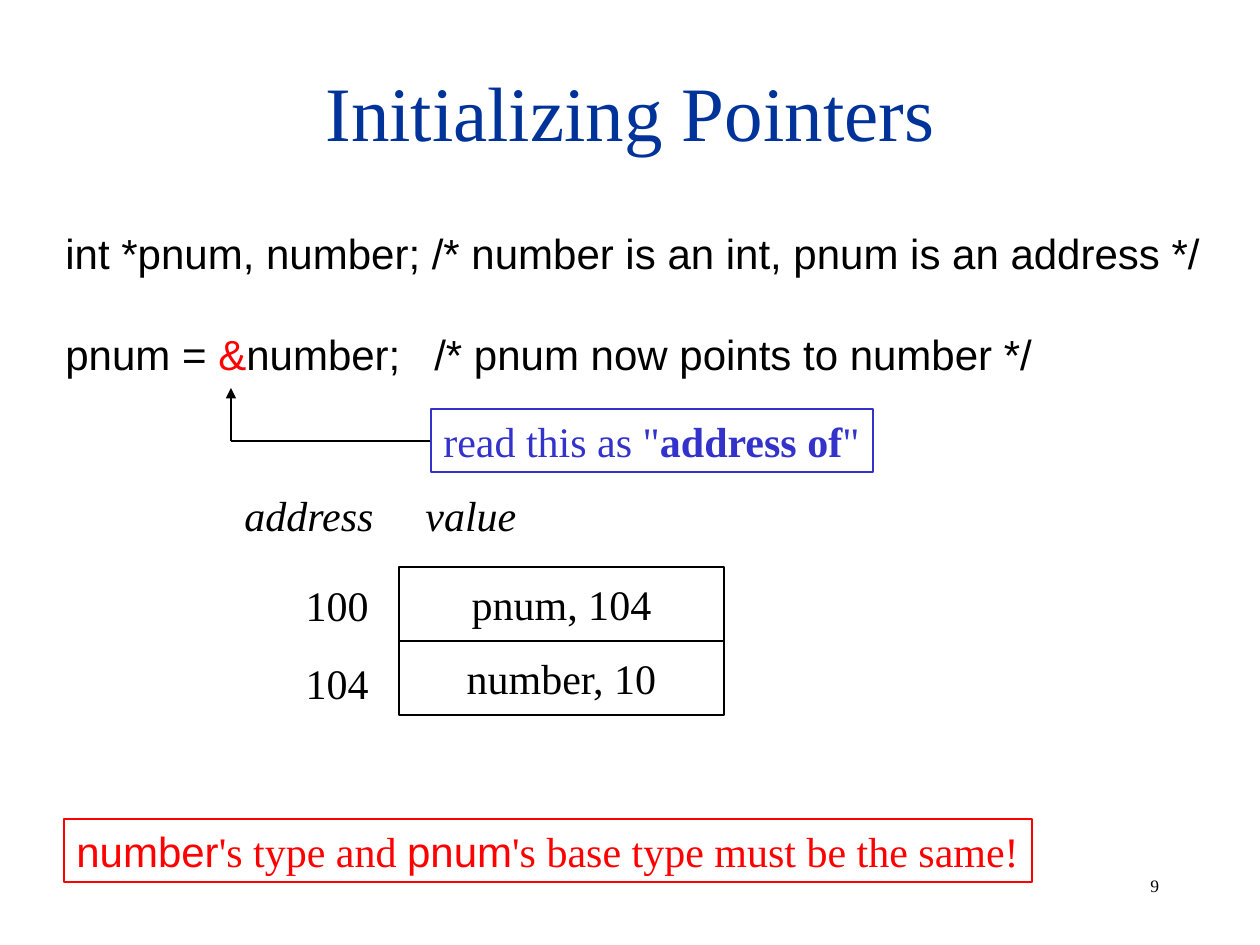
"""Build a slide on setting up pointers in C."""
from dataclasses import dataclass
from typing import Any

import pptx
import pptx.dml.color
import pptx.enum.shapes
import pptx.enum.text
import pptx.oxml.ns
import pptx.util
from lxml import etree

SCALE = 914400 / 126
ALIGN = pptx.enum.text.PP_ALIGN
ANCHOR = pptx.enum.text.MSO_ANCHOR


@dataclass(frozen=True)
class Theme:
    serif: str = "Times New Roman"
    sans: str = "Arial"
    black: str = "000000"
    white: str = "FFFFFF"
    navy: str = "003399"
    blue: str = "3333CC"
    red: str = "FF0000"
    title: int = 44
    body: int = 24
    small: int = 10
    line: float = 0.75


THEME = Theme()


@dataclass(frozen=True)
class Run:
    text: str
    face: str = THEME.serif
    color: str = THEME.black
    size: int = THEME.body
    bold: bool = False
    slant: bool = False


@dataclass(frozen=True)
class Box:
    left: int
    top: int
    width: int
    height: int
    runs: tuple[Run, ...]
    align: Any = ALIGN.LEFT
    anchor: Any = ANCHOR.TOP
    edge: str = ""
    fill: str = ""


@dataclass(frozen=True)
class Line:
    start: tuple[int, int]
    end: tuple[int, int]
    arrow: bool = False


def px(count: int) -> pptx.util.Emu:
    return pptx.util.Emu(round(count * SCALE))


def rgb(code: str) -> pptx.dml.color.RGBColor:
    return pptx.dml.color.RGBColor.from_string(code)


def apply(target: Any, form: dict[str, Any]) -> None:
    for key, value in form.items():
        setattr(target, key, value)


def stroke(line: Any, color: str) -> None:
    line.color.rgb = rgb(color)
    line.width = pptx.util.Pt(THEME.line)


def draw_box(shapes: Any, box: Box) -> None:
    place = [px(n) for n in (box.left, box.top, box.width, box.height)]
    if box.edge:
        shape = shapes.add_shape(
            pptx.enum.shapes.MSO_SHAPE.RECTANGLE, *place)
        shape.shadow.inherit = False
        stroke(shape.line, box.edge)
        if box.fill:
            shape.fill.solid()
            shape.fill.fore_color.rgb = rgb(box.fill)
        else:
            shape.fill.background()
    else:
        shape = shapes.add_textbox(*place)
    frame = shape.text_frame
    apply(frame, {"word_wrap": not box.edge, "vertical_anchor": box.anchor})
    para = frame.paragraphs[0]
    para.alignment = box.align
    for item in box.runs:
        run = para.add_run()
        run.text = item.text
        apply(run.font, {"name": item.face, "bold": item.bold,
                         "italic": item.slant,
                         "size": pptx.util.Pt(item.size)})
        run.font.color.rgb = rgb(item.color)


def draw_line(shapes: Any, line: Line) -> None:
    ends = [px(n) for n in line.start + line.end]
    link = shapes.add_connector(
        pptx.enum.shapes.MSO_CONNECTOR.STRAIGHT, *ends)
    stroke(link.line, THEME.black)
    if line.arrow:
        etree.SubElement(link.line._get_or_add_ln(),
                         pptx.oxml.ns.qn("a:tailEnd"), type="triangle")
    etree.SubElement(link._element.spPr, pptx.oxml.ns.qn("a:effectLst"))


def code(text: str, color: str = THEME.black) -> Run:
    return Run(text, face=THEME.sans, color=color)


def rows(cells: tuple[tuple[str, str], ...]) -> list[Box]:
    boxes = []
    for i, (place, value) in enumerate(cells):
        top = 567 + 74 * i
        boxes += [
            Box(399, top, 325, 74, (Run(value),), ALIGN.CENTER,
                ANCHOR.MIDDLE, THEME.black, THEME.white),
            Box(199, 573 + 78 * i, 182, 63, (Run(place),), ALIGN.RIGHT),
        ]
    return boxes


TEXTS = [
    Box(1138, 869, 98, 34, (Run("9", size=THEME.small),)),
    Box(95, 32, 1071, 157,
        (Run("Initializing Pointers", color=THEME.navy, size=THEME.title),),
        ALIGN.CENTER, ANCHOR.MIDDLE),
    Box(53, 221, 1180, 63, (code(
        "int *pnum, number; /* number is an int, pnum is an address */"),)),
    Box(53, 322, 369, 63,
        (code("pnum = "), code("&", THEME.red), code("number;"))),
    Box(422, 322, 640, 63, (code("/* pnum now points to number */"),)),
    *rows((("100", "pnum, 104"), ("104", "number, 10"))),
    Box(232, 483, 170, 63, (Run("address", slant=True),)),
    Box(413, 483, 130, 63, (Run("value", slant=True),)),
    Box(64, 819, 968, 63,
        (code("number", THEME.red),
         Run("'s type and ", color=THEME.red),
         code("pnum", THEME.red),
         Run("'s base type must be the same!", color=THEME.red)),
        edge=THEME.red),
    Box(431, 409, 442, 63,
        (Run('read this as "', color=THEME.blue),
         Run("address of", color=THEME.blue, bold=True),
         Run('"', color=THEME.blue)),
        edge=THEME.blue, fill=THEME.white),
]

LINES = [
    Line((431, 441), (231, 441)),
    Line((231, 441), (231, 388), arrow=True),
]


def main() -> None:
    deck = pptx.Presentation()
    apply(deck, {"slide_width": px(1260), "slide_height": px(945)})
    shapes = deck.slides.add_slide(deck.slide_layouts[6]).shapes
    for line in LINES:
        draw_line(shapes, line)
    for box in TEXTS:
        draw_box(shapes, box)
    deck.save("out.pptx")


if __name__ == "__main__":
    main()
